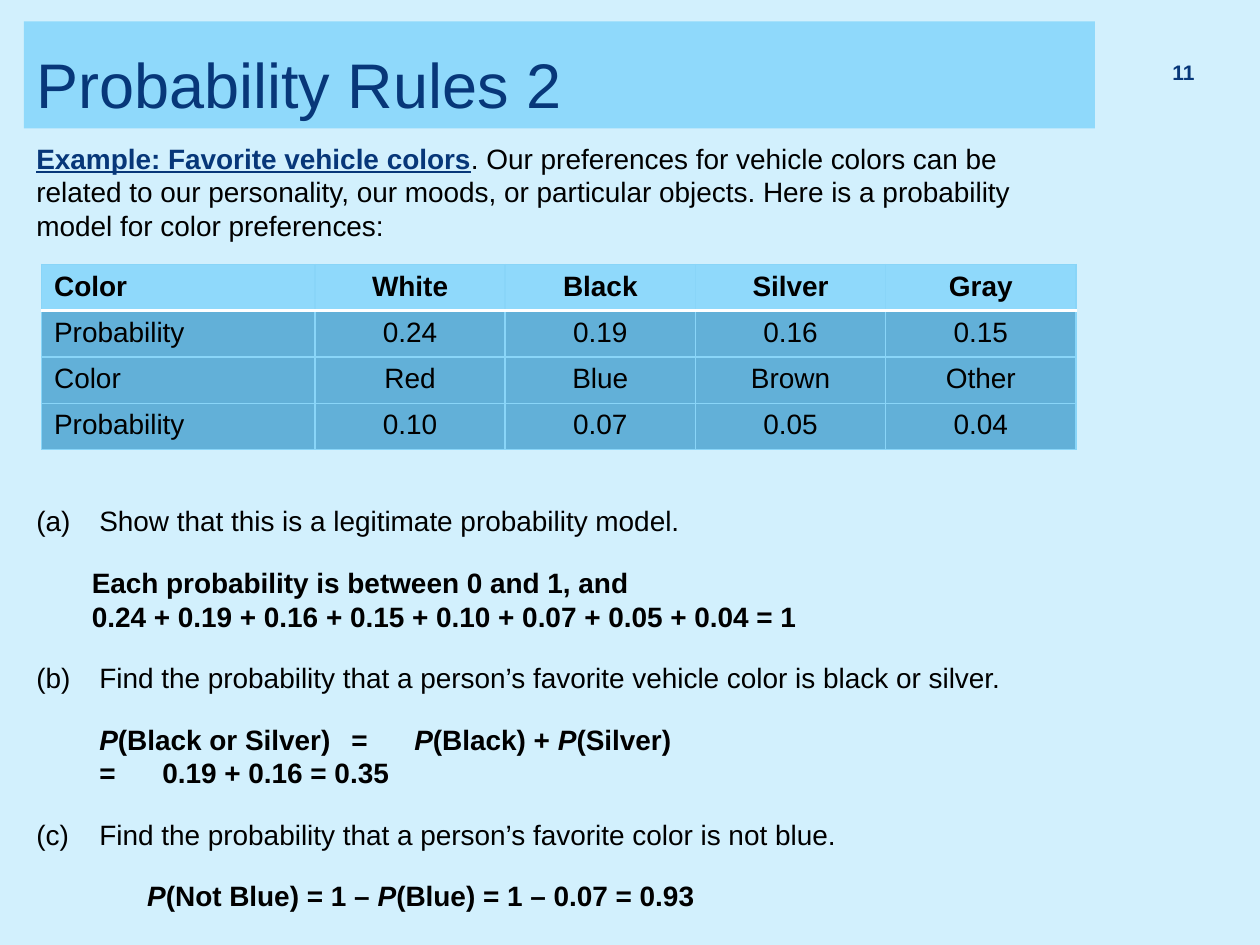
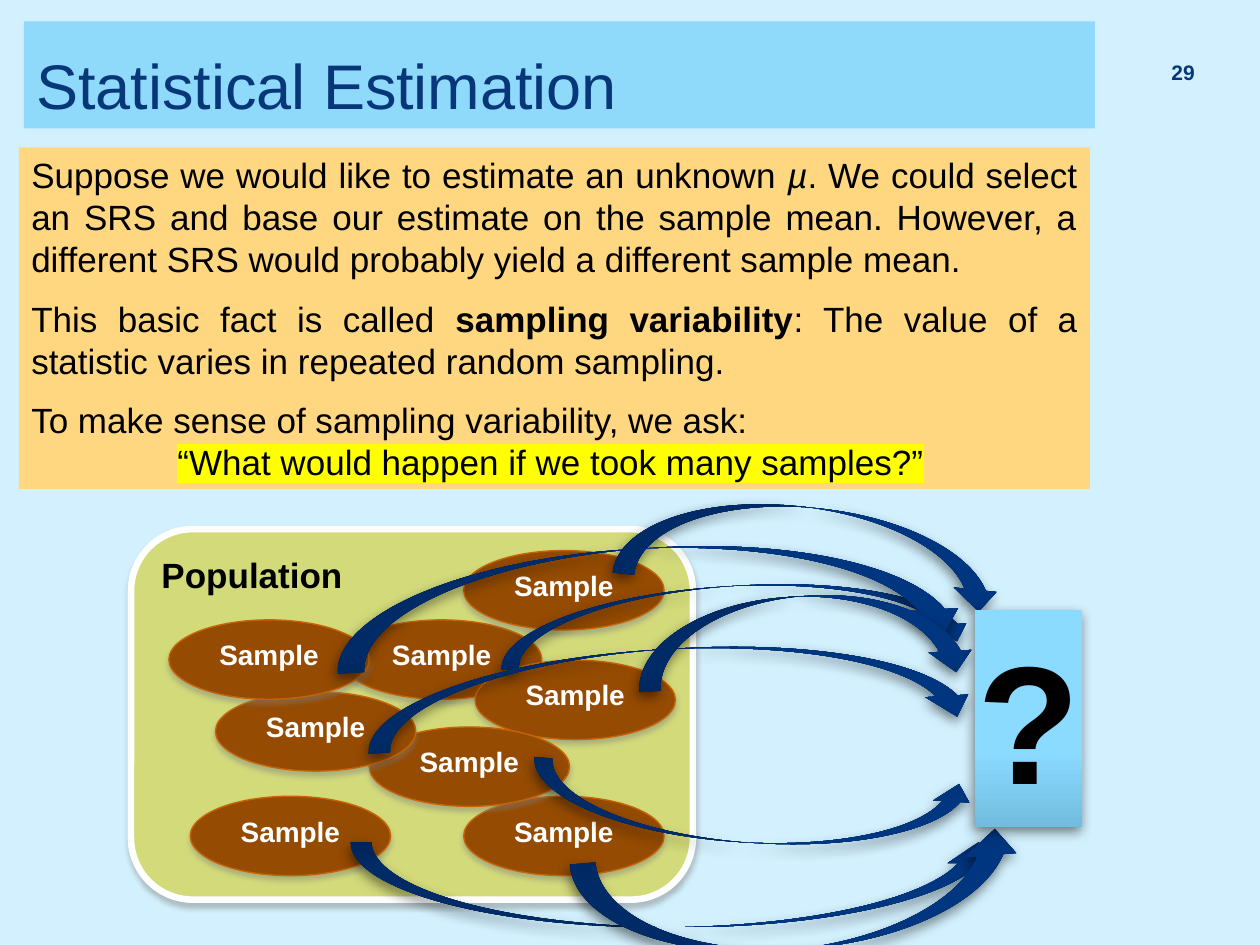
"""Build two statistics slides: probability rules and statistical estimation."""
import pptx
import pptx.dml.color
import pptx.enum.shapes
import pptx.enum.text
import pptx.oxml
import pptx.oxml.ns
import pptx.util

Pt = pptx.util.Pt
SHAPES = pptx.enum.shapes.MSO_SHAPE
ALIGN = pptx.enum.text.PP_ALIGN
ANCHOR = pptx.enum.text.MSO_ANCHOR
DRAWING = 'xmlns:a="http://schemas.openxmlformats.org/drawingml/2006/main"'

PALE, BAND, NAVY = "D2F0FD", "8FD9FB", "073779"
BLACK, WHITE, ORANGE = "000000", "FFFFFF", "FFD780"
TABLE_BODY, TABLE_LINE = "62B0D8", "89D5F8"
SOFT_SHADOW = ("808080", 45, 3, 2.4, 90)
DEEP_SHADOW = (BLACK, 50, 7, 3, 110)


def rgb(hex_colour):
    """Return the colour for a hex string."""
    return pptx.dml.color.RGBColor.from_string(hex_colour)


def units(cells):
    """Return the length of a number of grid cells, ten to the inch."""
    return pptx.util.Inches(cells / 10)


def xml(markup):
    """Return a drawing element from markup whose root lacks its namespace."""
    name, rest = markup[1:].split(" ", 1)
    return pptx.oxml.parse_xml(f"<{name} {DRAWING} {rest}")


def write(paragraph, text, size=16, colour=BLACK, bold=False, underline=False, highlight=None):
    """Add text in which underscores switch italics on and off."""
    for position, piece in enumerate(text.split("_")):
        if not piece:
            continue
        run = paragraph.add_run()
        run.text = piece
        font = run.font
        font.size, font.name = Pt(size), "Arial"
        font.bold, font.italic, font.underline = bold, position % 2 == 1, underline
        font.color.rgb = rgb(colour)
        if highlight:
            latin = run._r.rPr.find(pptx.oxml.ns.qn("a:latin"))
            latin.addprevious(xml(f'<a:highlight ><a:srgbClr val="{highlight}"/></a:highlight>'))


def lay_out(paragraph, align=ALIGN.LEFT, after=0, left=0, spacing=None, tabs=()):
    """Set the alignment, spacing, indent and tab stops of a paragraph."""
    paragraph.alignment, paragraph.space_after = align, Pt(after)
    paragraph.space_before = Pt(0)
    if spacing:
        paragraph.line_spacing = spacing
    properties = paragraph._p.get_or_add_pPr()
    properties.set("marL", str(units(left)))
    properties.set("indent", "0")
    if tabs:
        stops = "".join(f'<a:tab pos="{units(tab)}" algn="l"/>' for tab in tabs)
        properties.append(xml(f"<a:tabLst >{stops}</a:tabLst>"))


class Deck:
    """Hold the style and the current slide."""

    def __init__(self):
        """Start an empty deck of 100 by 75 cells."""
        self.file = pptx.Presentation()
        self.file.slide_width, self.file.slide_height = units(100), units(75)
        self.slide = None

    def new_slide(self, title, number, title_spacing=None):
        """Start a slide with its title band and number."""
        self.slide = self.file.slides.add_slide(self.file.slide_layouts[6])
        background = self.slide.background.fill
        background.solid()
        background.fore_color.rgb = rgb(PALE)
        band = self.shape(SHAPES.RECTANGLE, (1.9, 1.7, 85, 8.5), BAND)
        self.fill_text(band, [([(title, dict(size=36, colour=NAVY))], dict(spacing=title_spacing))],
                       anchor=ANCHOR.BOTTOM)
        self.text((90.3, 3.9, 5.5, 4),
                  [([(number, dict(size=12, colour=NAVY, bold=True))],
                    dict(align=ALIGN.RIGHT, spacing=0.8))], anchor=ANCHOR.MIDDLE)

    def fill_text(self, shape, paragraphs, anchor=ANCHOR.TOP, wrap=True):
        """Write paragraphs, each a list of runs and a layout, into a shape."""
        frame = shape.text_frame
        frame.word_wrap, frame.vertical_anchor = wrap, anchor
        for position, (runs, layout) in enumerate(paragraphs):
            paragraph = frame.add_paragraph() if position else frame.paragraphs[0]
            lay_out(paragraph, **layout)
            for content, style in runs:
                write(paragraph, content, **style)

    def text(self, place, paragraphs, **options):
        """Add a text box."""
        box = self.slide.shapes.add_textbox(*map(units, place))
        self.fill_text(box, paragraphs, **options)

    def shape(self, kind, place, fill, line=None, shadow=None, turn=0, flip=False):
        """Add a shape with a plain fill, or a gradient from a pair of colours."""
        shape = self.slide.shapes.add_shape(kind, *map(units, place))
        shape.rotation = turn
        shape.shadow.inherit = False
        properties = shape._element.spPr
        if flip:
            properties.get_or_add_xfrm().set("flipV", "1")
        if isinstance(fill, tuple):
            stops = "".join(f'<a:gs pos="{share * 1000}"><a:srgbClr val="{colour}"/></a:gs>'
                            for share, colour in zip((0, 35, 100), (*fill, fill[1])))
            properties.find(pptx.oxml.ns.qn("a:prstGeom")).addnext(
                xml(f'<a:gradFill ><a:gsLst>{stops}</a:gsLst><a:lin ang="16200000"/></a:gradFill>'))
        else:
            shape.fill.solid()
            shape.fill.fore_color.rgb = rgb(fill)
        if line:
            shape.line.color.rgb, shape.line.width = rgb(line[0]), Pt(line[1])
        else:
            shape.line.fill.background()
        if shadow:
            colour, opacity, blur, distance, angle = shadow
            properties.find(pptx.oxml.ns.qn("a:effectLst")).append(xml(
                f'<a:outerShdw blurRad="{Pt(blur)}" dist="{Pt(distance)}" dir="{angle * 60000}" '
                f'algn="ctr" rotWithShape="0"><a:srgbClr val="{colour}">'
                f'<a:alpha val="{opacity * 1000}"/></a:srgbClr></a:outerShdw>'))
        return shape

    def table(self, place, rows, first_column, other_column):
        """Add a table with a header row and thin cell borders."""
        table = self.slide.shapes.add_table(len(rows), len(rows[0]), *map(units, place)).table
        for position, column in enumerate(table.columns):
            column.width = units(other_column if position else first_column)
        for row, entries in enumerate(rows):
            table.rows[row].height = units(place[3] / len(rows))
            for column, entry in enumerate(entries):
                cell = table.cell(row, column)
                cell.fill.solid()
                cell.fill.fore_color.rgb = rgb(TABLE_BODY if row else BAND)
                paragraph = cell.text_frame.paragraphs[0]
                lay_out(paragraph, align=ALIGN.CENTER if column else ALIGN.LEFT)
                write(paragraph, entry, bold=row == 0)
                self.borders(cell, row)

    def borders(self, cell, row):
        """Draw the borders of a cell, with a white rule under the header."""
        properties = cell._tc.get_or_add_tcPr()
        rule_side = {0: "B", 1: "T"}.get(row)
        for position, side in enumerate("LRTB"):
            colour, width = (WHITE, 2) if side == rule_side else (TABLE_LINE, 1)
            properties.insert(position, xml(
                f'<a:ln{side} w="{Pt(width)}"><a:solidFill><a:srgbClr val="{colour}"/>'
                f'</a:solidFill></a:ln{side}>'))


def probability_rules(deck):
    """Build the worked example on vehicle colours."""
    deck.new_slide("Probability Rules 2", "11", title_spacing=0.9)
    deck.text((1.9, 10.7, 82, 9.1), [([
        ("Example: Favorite vehicle colors", dict(colour=NAVY, bold=True, underline=True)),
        (". Our preferences for vehicle colors can be related to our personality, our moods, "
         "or particular objects. Here is a probability model for color preferences:", {})], {})])
    deck.table((3.3, 21, 82.2, 14.7), [
        ("Color", "White", "Black", "Silver", "Gray"),
        ("Probability", "0.24", "0.19", "0.16", "0.15"),
        ("Color", "Red", "Blue", "Brown", "Other"),
        ("Probability", "0.10", "0.07", "0.05", "0.04")], 21.7, 15.1)
    gap, answer = 16, dict(bold=True)
    steps = [
        ("(a)\tShow that this is a legitimate probability model.", {}, dict(after=gap, tabs=[4.6])),
        ("Each probability is between 0 and 1, and", answer, dict(left=4.4)),
        ("0.24 + 0.19 + 0.16 + 0.15 + 0.10 + 0.07 + 0.05 + 0.04 = 1", answer,
         dict(left=4.4, after=gap)),
        ("(b)\tFind the probability that a person’s favorite vehicle color is black or silver.", {},
         dict(after=gap, tabs=[5])),
        ("\t_P_(Black or Silver)\t=\t_P_(Black) + _P_(Silver)", answer, dict(tabs=[5, 28.1, 33.1])),
        ("\t=\t0.19 + 0.16 = 0.35", answer, dict(after=gap, tabs=[28.1, 33.1])),
        ("(c)\tFind the probability that a person’s favorite color is not blue.", {},
         dict(after=gap, tabs=[8.8])),
        ("_P_(Not Blue) = 1 – _P_(Blue) = 1 – 0.07 = 0.93", answer, dict(left=8.8))]
    deck.text((1.9, 39.5, 82, 33.8), [([(words, style)], layout) for words, style, layout in steps])


def statistical_estimation(deck):
    """Build the sampling variability slide and its diagram."""
    deck.new_slide("Statistical Estimation", "29")
    body = dict(size=20)
    spread = dict(align=ALIGN.JUSTIFY, after=10)
    explanation = deck.shape(SHAPES.RECTANGLE, (1.5, 11.7, 85, 27.1), ORANGE)
    deck.fill_text(explanation, [
        ([("Suppose we would like to estimate an unknown _µ_. We could select an SRS and base our "
           "estimate on the sample mean. However, a different SRS would probably yield a "
           "different sample mean.", body)], spread),
        ([("This basic fact is called ", body), ("sampling variability", dict(size=20, bold=True)),
          (": The value of a statistic varies in repeated random sampling.", body)], spread),
        ([("To make sense of sampling variability, we ask:", body)], {}),
        ([("“What would happen if we took many samples?”", dict(size=20, highlight="FFFF00"))],
         dict(left=11.6))])

    population = deck.shape(SHAPES.ROUNDED_RECTANGLE, (10.4, 42, 44.6, 29.4), "D2DA7A",
                            line=(WHITE, 3.75), shadow=SOFT_SHADOW)
    deck.fill_text(population, [([("Population", dict(size=20, bold=True))], {})])
    for left, top in [(27.1, 49.2), (37.7, 52.4), (36.8, 63.2), (36.8, 43.7),
                      (29.3, 57.7), (17.1, 54.9), (15.1, 63.2), (13.4, 49.2)]:
        sample = deck.shape(SHAPES.OVAL, (left, top, 15.9, 6.3), "954B01",
                            line=("C76402", 0.79), shadow=SOFT_SHADOW)
        deck.fill_text(sample, [([("Sample", dict(colour=WHITE, bold=True))],
                                 dict(align=ALIGN.CENTER))])
    for place, turn, flip in [
            ((48.9, 40.3, 30.9, 6.8), 6.1, False),
            ((39.6, 46.5, 37.6, 5.5), -3.6, False),
            ((42.2, 61.2, 35.2, 5.7), 3.6, True),
            ((29, 51.5, 48.5, 6.8), -3.6, False),
            ((26.5, 43.5, 50.2, 8.4), -3.6, False),
            ((27.8, 66.8, 51.6, 6.8), 0, True),
            ((45.5, 67.1, 35.9, 8.2), -4.8, True),
            ((50.5, 47.3, 26.9, 6.8), -3.6, False)]:
        deck.shape(SHAPES.CURVED_DOWN_ARROW, place, ("002E6E", "003680"),
                   shadow=DEEP_SHADOW, turn=turn, flip=flip)
    unknown = deck.shape(SHAPES.RECTANGLE, (77.4, 48.4, 8.5, 17.2), ("71BDE0", "8BDAFF"),
                         shadow=DEEP_SHADOW)
    deck.fill_text(unknown, [([("?", dict(size=96, bold=True))], dict(align=ALIGN.CENTER))],
                   wrap=False)


def main():
    """Build and save the deck."""
    deck = Deck()
    probability_rules(deck)
    statistical_estimation(deck)
    deck.file.save("out.pptx")


if __name__ == "__main__":
    main()
